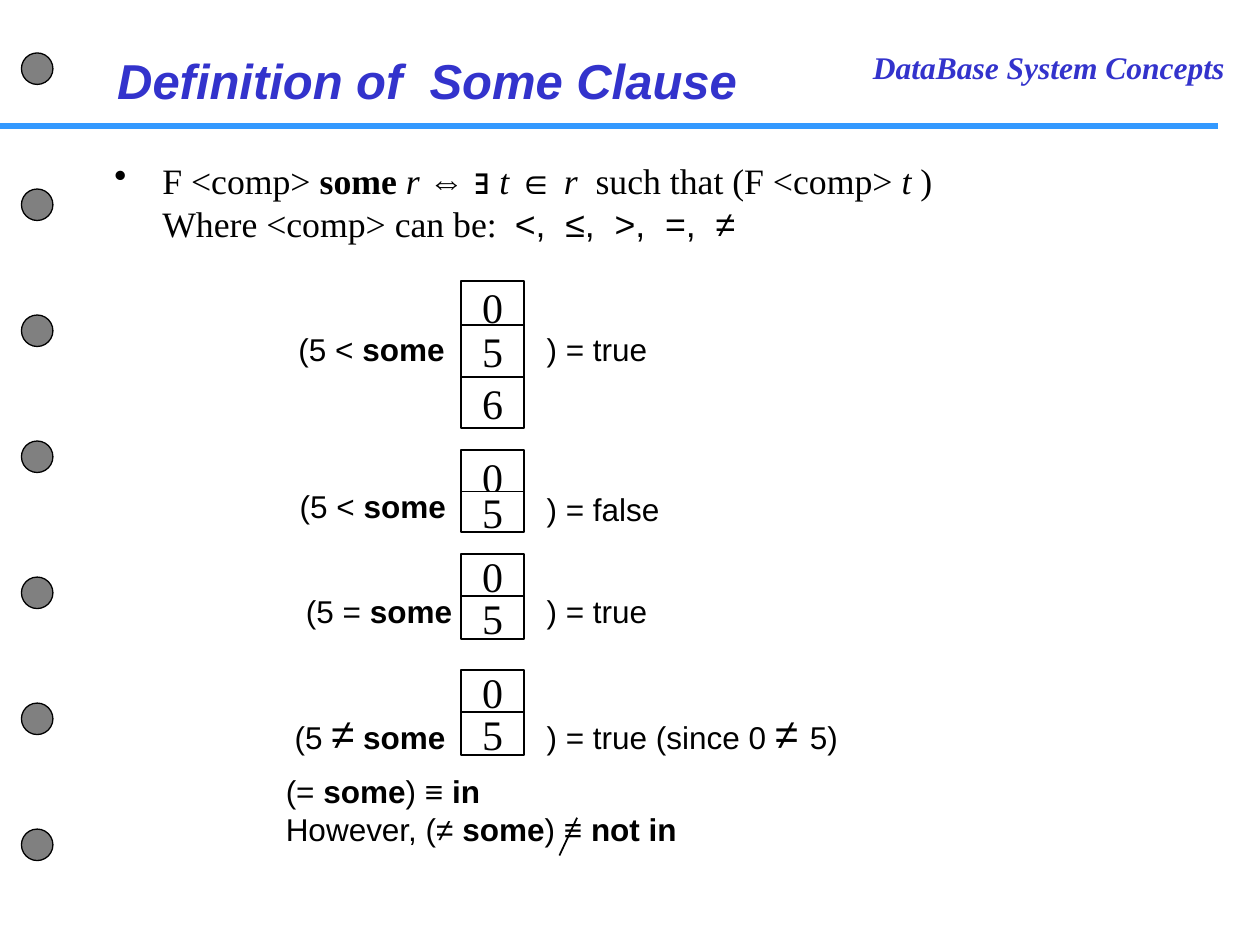
from dataclasses import dataclass

from lxml import etree
from pptx import Presentation
from pptx import util as u
from pptx.dml.color import RGBColor
from pptx.enum import shapes, text
from pptx.oxml import ns

Inches, Pt = u.Inches, u.Pt


@dataclass(frozen=True)
class Theme:
    sans: str = "Arial"
    serif: str = "Times New Roman"
    ink: str = "000000"
    heading: str = "3333CC"
    rule: str = "3399FF"
    hole: str = "808080"
    paper: str = "FFFFFF"
    title_size: float = 28
    value_size: float = 24
    body_size: float = 20.4
    label_size: float = 18


T = Theme()
BOLD = {"bold": True}
ITALIC = {"italic": True}
SANS = {"name": T.sans}
LARGE = {"size": T.value_size}
LABEL = {"name": T.sans, "size": T.label_size, "color": T.ink}
BODY = {"name": T.serif, "size": T.body_size, "color": T.ink}
VALUE = {"name": T.serif, "size": T.value_size, "color": T.ink}
HEADING = {"color": T.heading, "bold": True, "italic": True}


def set_font(font, formats):
    for key, value in formats.items():
        if key == "color":
            font.color.rgb = RGBColor.from_string(value)
        else:
            setattr(font, key, Pt(value) if key == "size" else value)


def add_runs(p, base, runs):
    """Fill a paragraph from (text, formats) pairs; "\\n" becomes a line break."""
    for content, formats in runs:
        if content == "\n":
            p.add_line_break()
            continue
        r = p.add_run()
        r.text = content
        set_font(r.font, {**base, **formats})


def add_text(s, box, base, *paragraphs):
    tf = s.shapes.add_textbox(*map(Inches, box)).text_frame
    tf.word_wrap = True
    for i, runs in enumerate(paragraphs):
        add_runs(tf.add_paragraph() if i else tf.paragraphs[0], base, runs)
    return tf


def add_bullet(p, indent):
    pPr = p._p.get_or_add_pPr()
    pPr.set("marL", str(Inches(indent)))
    pPr.set("indent", str(-Inches(indent)))
    etree.SubElement(pPr, ns.qn("a:buChar")).set("char", "•")


def add_box(s, kind, box, fill, line_width):
    sp = s.shapes.add_shape(kind, *map(Inches, box))
    sp.shadow.inherit = False
    sp.fill.solid()
    sp.fill.fore_color.rgb = RGBColor.from_string(fill)
    sp.line.color.rgb = RGBColor.from_string(T.ink)
    sp.line.width = Pt(line_width)
    return sp


def add_value(s, value, top, height):
    sp = add_box(s, shapes.MSO_SHAPE.RECTANGLE, (3.66, top, 0.5, height), T.paper, 1)
    tf = sp.text_frame
    tf.word_wrap = False
    tf.vertical_anchor = text.MSO_ANCHOR.MIDDLE
    p = tf.paragraphs[0]
    p.alignment = text.PP_ALIGN.CENTER
    add_runs(p, VALUE, [(value, {})])


def add_line(s, start, end, color, width):
    line = s.shapes.add_connector(
        shapes.MSO_CONNECTOR.STRAIGHT, *map(Inches, (*start, *end)))
    line.line.color.rgb = RGBColor.from_string(color)
    line.line.width = Pt(width)
    etree.SubElement(line._element.spPr, ns.qn("a:effectLst"))


def add_frame(s):
    """Header rule, punched holes and course name."""
    add_line(s, (0, 1), (9.67, 1), T.rule, 3)
    for top in (0.42, 1.5, 2.5, 3.5, 4.58, 5.58, 6.58):
        add_box(s, shapes.MSO_SHAPE.OVAL, (0.17, top, 0.25, 0.25), T.hole, 0.75)
    add_text(s, (6.83, 0.33, 3.17, 0.4),
             {**HEADING, "name": T.serif, "size": T.label_size},
             [("DataBase System Concepts", {})])


def add_title(s, title):
    sp = s.shapes.title
    sp.left, sp.top, sp.width, sp.height = map(Inches, (0.83, 0.25, 5.5, 0.67))
    tf = sp.text_frame
    tf.auto_size = text.MSO_AUTO_SIZE.NONE
    tf.vertical_anchor = text.MSO_ANCHOR.BOTTOM
    p = tf.paragraphs[0]
    p.alignment = text.PP_ALIGN.LEFT
    add_runs(p, {**HEADING, "name": T.sans, "size": T.title_size}, [(title, {})])


def add_definition(s):
    tf = add_text(s, (0.81, 1.21, 8.69, 0.78), BODY, [
        ("F <comp> ", {}), ("some ", BOLD), ("r ", ITALIC), ("⇔ ∃ ", SANS),
        ("t ", ITALIC), ("∈ ", SANS), ("r  ", ITALIC),
        ("such that (F <comp> ", {}), ("t ", ITALIC), (")", {}), ("\n", {}),
        ("Where <comp> can be:  ", {}), ("<,  ≤,  >,  =,  ≠", SANS)])
    add_bullet(tf.paragraphs[0], 0.38)


def add_example(s, cells, left_box, condition, right_box, result):
    """One comparison: condition, stacked values of the relation, result."""
    for value, top, height in cells:
        add_value(s, value, top, height)
    add_text(s, left_box, LABEL, [*condition, ("some", BOLD)])
    add_text(s, right_box, LABEL, result)


def add_conclusion(s):
    add_text(s, (2.17, 6.08, 7.44, 0.78), LABEL,
             [("(= ", {}), ("some", BOLD), (") ≡ ", {}), ("in", BOLD)],
             [("However, (≠ ", {}), ("some", BOLD), (") ≡ ", {}), ("not in", BOLD)])
    add_line(s, (4.58, 6.49), (4.44, 6.79), T.ink, 1)


def main():
    prs = Presentation()
    prs.slide_width, prs.slide_height = Inches(10), Inches(7.5)
    s = prs.slides.add_slide(prs.slide_layouts[5])
    add_frame(s)
    add_title(s, "Definition of  Some Clause")
    add_definition(s)
    examples = [
        ([("0", 2.23, 0.41), ("5", 2.58, 0.41), ("6", 2.99, 0.41)],
         (2.27, 2.57, 1.48, 0.4), [("(5 < ", {})],
         (4.24, 2.57, 1, 0.4), [(") = true", {})]),
        ([("0", 3.57, 0.42), ("5", 3.9, 0.32)],
         (2.28, 3.82, 1.51, 0.4), [("(5 < ", {})],
         (4.24, 3.84, 1.33, 0.4), [(") = false", {})]),
        ([("0", 4.4, 0.34), ("5", 4.73, 0.34)],
         (2.33, 4.65, 1.67, 0.4), [("(5 = ", {})],
         (4.24, 4.65, 1.33, 0.4), [(") = true", {})]),
        ([("0", 5.32, 0.34), ("5", 5.65, 0.34)],
         (2.24, 5.57, 1.58, 0.5), [("(5 ", {}), ("≠", LARGE), (" ", {})],
         (4.24, 5.57, 2.75, 0.5),
         [(") = true (since 0 ", {}), ("≠ ", LARGE), ("5)", {})]),
    ]
    for example in examples:
        add_example(s, *example)
    add_conclusion(s)
    prs.save("out.pptx")


if __name__ == "__main__":
    main()
